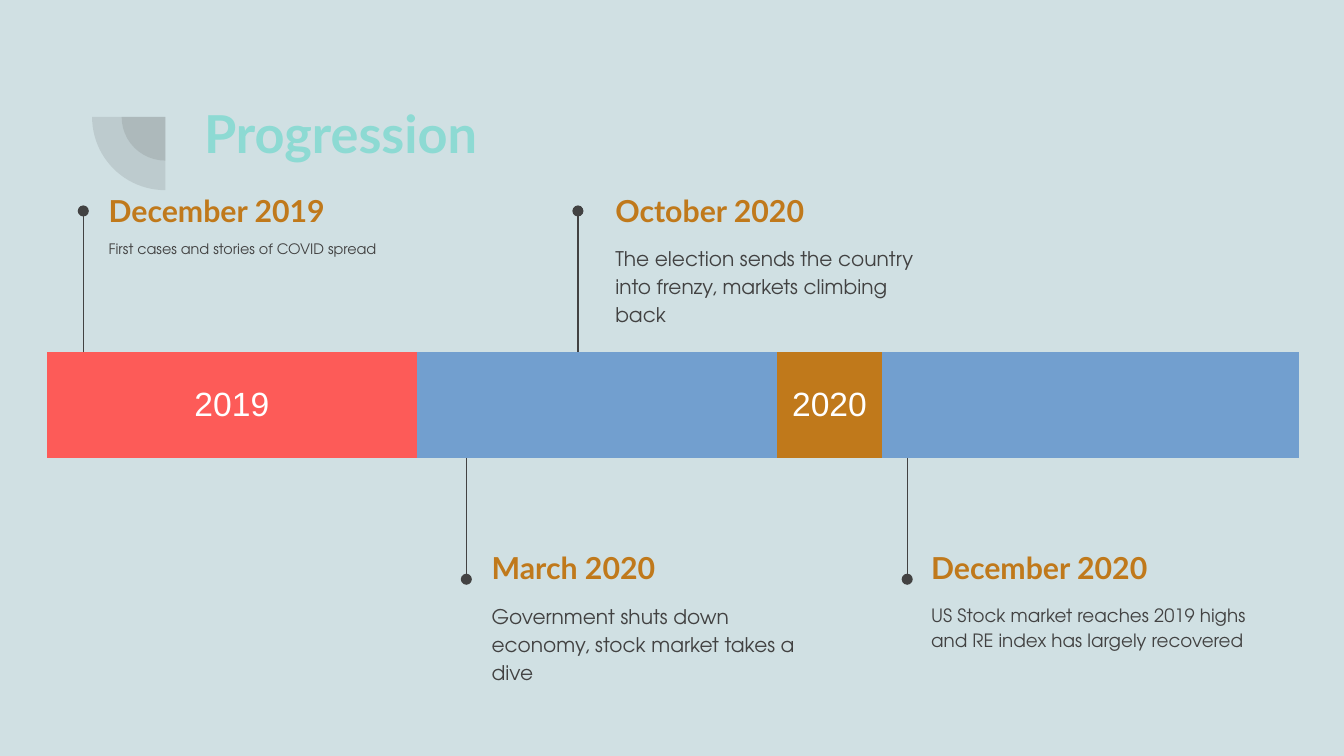
from lxml.etree import SubElement
from pptx import Presentation
from pptx.dml.color import RGBColor
from pptx.enum.shapes import MSO_CONNECTOR, MSO_SHAPE
from pptx.enum.text import MSO_ANCHOR, PP_ALIGN
from pptx.oxml.ns import qn
from pptx.util import Inches, Pt

BACKGROUND = RGBColor(0xD0, 0xE0, 0xE3)
DARK = RGBColor(0x42, 0x42, 0x42)
TEAL = RGBColor(0x8D, 0xDA, 0xD3)
OCHRE = RGBColor(0xC0, 0x79, 0x1B)
CORAL = RGBColor(0xFD, 0x5B, 0x58)
BLUE = RGBColor(0x72, 0x9F, 0xCF)
WHITE = RGBColor(0xFF, 0xFF, 0xFF)
HEADING_FONT, BODY_FONT, YEAR_FONT = "Lato", "TeX Gyre Adventor", "Arial"

INSET = 0.1
BAR_LEFT, BAR_TOP, BAR_WIDTH, BAR_HEIGHT = 0.35, 2.62, 9.32, 0.79
BAR_BOTTOM = BAR_TOP + BAR_HEIGHT
YEAR_END, YEAR_START = 0.42, 1.13
MONTH = (BAR_WIDTH - YEAR_END - YEAR_START) / 10
COLUMN_WIDTHS = [MONTH] * 3 + [YEAR_END, YEAR_START] + [MONTH] * 7
NO_STYLE_NO_GRID = "{2D5ABB26-0587-4C30-8999-92F81FD0307C}"

# year, first column, last column, fill
YEARS = [("2019", 0, 3, CORAL), ("2020", 4, 11, OCHRE)]

# date, event, body size, line spacing, text left, text width, stem x, above the bar
MILESTONES = [
    ("December 2019", "First cases and stories of COVID spread",
     7.7, 1.05, 0.71, 2.53, 0.62, True),
    ("March 2020", "Government shuts down economy, stock market takes a dive",
     10.8, 1.15, 3.56, 2.53, 3.47, False),
    ("October 2020", "The election sends the country into frenzy, markets climbing back",
     10.8, 1.15, 4.48, 2.57, 4.3, True),
    ("December 2020", "US Stock market reaches 2019 highs and RE index has largely recovered",
     9.8, 1.15, 6.83, 2.57, 6.75, False),
]


def style_font(font, name, size, color, bold=False):
    font.name, font.size, font.bold = name, Pt(size), bold
    font.color.rgb = color


def add_text(slide, box, text, font, size, color, bold=False, anchor=MSO_ANCHOR.TOP):
    frame = slide.shapes.add_textbox(*map(Inches, box)).text_frame
    frame.word_wrap = True
    frame.vertical_anchor = anchor
    frame.margin_left = frame.margin_right = Inches(INSET)
    frame.margin_top = frame.margin_bottom = Inches(INSET)
    frame.text = text
    paragraph = frame.paragraphs[0]
    style_font(paragraph.runs[0].font, font, size, color, bold)
    return paragraph


def add_heading(slide, box, text, size, color):
    add_text(slide, box, text, HEADING_FONT, size, color, True, MSO_ANCHOR.MIDDLE)


def add_quarter_circles(slide, center_x, center_y, diameters):
    ornament = slide.shapes.add_group_shape()
    for diameter in diameters:
        left, top = center_x - diameter / 2, center_y - diameter / 2
        quarter = ornament.shapes.add_shape(
            MSO_SHAPE.PIE, *map(Inches, (left, top, diameter, diameter)))
        quarter.adjustments[0] = 107.93
        quarter.adjustments[1] = 162
        quarter.rotation = 270
        quarter.shadow.inherit = False
        quarter.line.fill.background()
        quarter.fill.solid()
        quarter.fill.fore_color.rgb = DARK
        color = quarter.fill._xPr.find(qn("a:solidFill"))[0]
        SubElement(color, qn("a:alpha"), val="13000")


def add_year_bar(slide, left, top, width, height):
    box = (left, top, width, height)
    frame = slide.shapes.add_table(1, len(COLUMN_WIDTHS), *map(Inches, box))
    table = frame.table
    table.first_row = table.horz_banding = False
    table._tbl.tblPr.find(qn("a:tableStyleId")).text = NO_STYLE_NO_GRID
    for column, column_width in zip(table.columns, COLUMN_WIDTHS):
        column.width = Inches(column_width)
    for cell in table.iter_cells():
        cell.fill.solid()
        cell.fill.fore_color.rgb = BLUE
    for year, first, last, color in YEARS:
        cell = table.cell(0, first)
        cell.merge(table.cell(0, last))
        cell.fill.fore_color.rgb = color
        cell.vertical_anchor = MSO_ANCHOR.MIDDLE
        cell.margin_left = cell.margin_right = Inches(INSET)
        cell.margin_top = cell.margin_bottom = Inches(INSET)
        cell.text_frame.text = year
        paragraph = cell.text_frame.paragraphs[0]
        paragraph.alignment = PP_ALIGN.CENTER
        style_font(paragraph.runs[0].font, YEAR_FONT, 18, WHITE)


def add_stem(slide, x, start, end):
    """Thin line from the bar that ends in a dot."""
    stem = slide.shapes.add_connector(
        MSO_CONNECTOR.STRAIGHT, *map(Inches, (x, start, x, end)))
    stem.line.color.rgb = DARK
    stem.line.width = Pt(0.75)
    SubElement(stem.line._get_or_add_ln(), qn("a:tailEnd"), type="oval")
    SubElement(stem._element.spPr, qn("a:effectLst"))


def add_milestone(slide, date, event, size, spacing, left, width, stem_x, above):
    if above:
        top, start, end = 1.35, BAR_TOP, 1.57
    else:
        top, start, end = 4.01, BAR_BOTTOM, 4.31
    add_stem(slide, stem_x, start, end)
    add_heading(slide, (left, top, width, 0.43), date, 16.2, OCHRE)
    body = add_text(slide, (left, top + 0.36, width, 0.63), event, BODY_FONT, size, DARK)
    body.line_spacing = spacing


def main():
    presentation = Presentation()
    presentation.slide_width = Inches(10)
    presentation.slide_height = presentation.slide_width * 9 // 16
    slide = presentation.slides.add_slide(presentation.slide_layouts[6])
    slide.background.fill.solid()
    slide.background.fill.fore_color.rgb = BACKGROUND
    add_quarter_circles(slide, 1.23, 0.87, (0.65, 1.09))
    add_heading(slide, (1.42, 0.7, 7, 0.58), "Progression", 28, TEAL)
    add_year_bar(slide, BAR_LEFT, BAR_TOP, BAR_WIDTH, BAR_HEIGHT)
    for milestone in MILESTONES:
        add_milestone(slide, *milestone)
    presentation.save("out.pptx")


if __name__ == "__main__":
    main()
